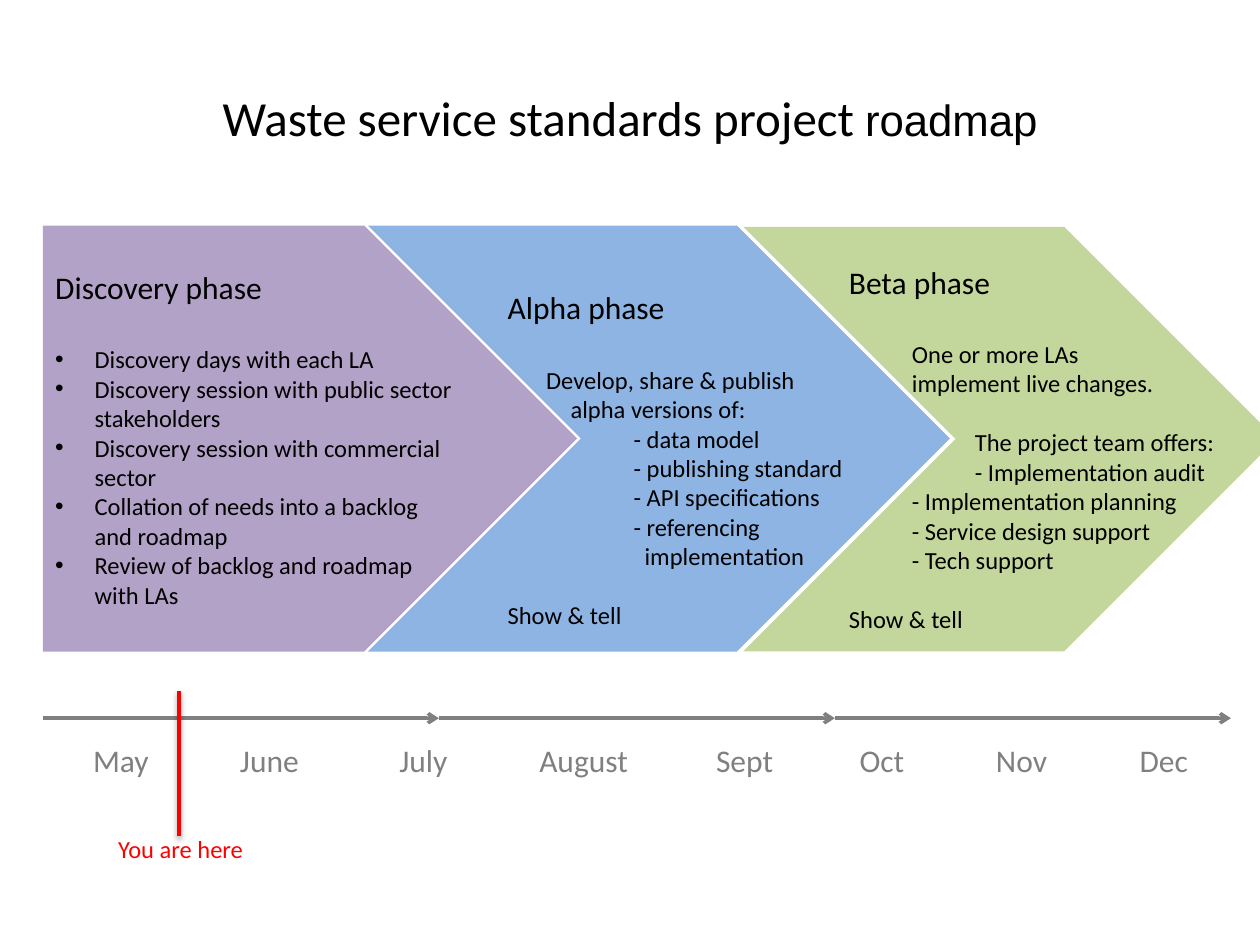
from dataclasses import dataclass

from lxml import etree
from pptx import Presentation
from pptx import util as u
from pptx.dml import color
from pptx.enum import shapes, text
from pptx.oxml import ns

COLOURS = {
    "discovery": "B3A2C7",
    "alpha": "8EB4E3",
    "beta": "C3D69B",
    "text": "000000",
    "timeline": "808080",
    "marker": "FF0000",
}
FONT = "Calibri"
HANG = 22.5
TIMELINE_LEFT, TIMELINE_RIGHT, TIMELINE_Y = 24.5, 703.4, 410.4
MONTHS = ["May", "June", "July", "August", "Sept", "Oct", "Nov", "Dec"]
MONTH_STOPS = [84, 175, 255, 356, 438, 516, 598]


@dataclass
class Box:
    left: float
    top: float
    width: float
    height: float

    def lengths(self) -> list:
        return [u.Pt(v) for v in (self.left, self.top, self.width, self.height)]


@dataclass
class Line:
    wording: str
    indent: float = 0
    before: float = 0
    bullet: bool = False
    size: float = 14


@dataclass
class Phase:
    name: str
    preset: shapes.MSO_SHAPE
    arrow: Box
    lines: list[Line]
    label: Box | None = None


PHASES = [
    Phase("discovery", shapes.MSO_SHAPE.PENTAGON, Box(24.5, 128.9, 305.3, 243.4), [
        Line("Discovery phase", size=18),
        Line("Discovery days with each LA", HANG, 22, True),
        Line("Discovery session with public sector stakeholders", HANG, 0, True),
        Line("Discovery session with commercial sector", HANG, 0, True),
        Line("Collation of needs into a backlog and roadmap", HANG, 0, True),
        Line("Review of backlog and roadmap with LAs", HANG, 0, True),
    ]),
    Phase("alpha", shapes.MSO_SHAPE.CHEVRON, Box(210.2, 128.9, 332.6, 243.4), [
        Line("Alpha phase", size=18),
        Line("Develop, share & publish", 22, 22),
        Line("alpha versions of:", 36),
        Line("- data model", 72),
        Line("- publishing standard", 72),
        Line("- API specifications", 72),
        Line("- referencing", 72),
        Line("implementation", 78.3),
        Line("Show & tell", 0, 17),
    ], Box(283, 161.3, 208, 247)),
    Phase("beta", shapes.MSO_SHAPE.CHEVRON, Box(424.8, 129.6, 304.6, 242.6), [
        Line("Beta phase", size=18),
        Line("One or more LAs", 36, 22),
        Line("implement live changes.", 36),
        Line("The project team offers:", 72, 17),
        Line("- Implementation audit", 72),
        Line("- Implementation planning", 36),
        Line("- Service design support", 36),
        Line("- Tech support", 36),
        Line("Show & tell", 0, 17),
    ], Box(478, 146.5, 226, 264)),
]


def rgb(name: str) -> color.RGBColor:
    """Return a named colour."""
    return color.RGBColor.from_string(COLOURS[name])


def style(font, size: float, colour: str = "text", face: str = FONT) -> None:
    """Apply face, size and colour to a font."""
    font.name, font.size = face, u.Pt(size)
    font.color.rgb = rgb(colour)


def add_label(slide, box: Box):
    """Add an empty wrapping text box and return its frame."""
    frame = slide.shapes.add_textbox(*box.lengths()).text_frame
    frame.word_wrap = True
    return frame


def write_lines(frame, lines: list[Line]) -> None:
    """Write indented or bulleted lines into a frame."""
    frame.text = "\n".join(line.wording for line in lines)
    for paragraph, line in zip(frame.paragraphs, lines):
        paragraph.alignment = text.PP_ALIGN.LEFT
        if line.before:
            paragraph.space_before = u.Pt(line.before)
        properties = paragraph._p.get_or_add_pPr()
        properties.set("marL", str(u.Pt(line.indent)))
        properties.set("indent", str(-u.Pt(line.indent) if line.bullet else 0))
        if line.bullet:
            etree.SubElement(properties, ns.qn("a:buFont"), typeface="Arial")
            etree.SubElement(properties, ns.qn("a:buChar"), char="•")
        for run in paragraph.runs:
            style(run.font, line.size)


def add_phase(slide, phase: Phase) -> None:
    """Draw a phase arrow with its text."""
    arrow = slide.shapes.add_shape(phase.preset, *phase.arrow.lengths())
    arrow.shadow.inherit = False
    arrow.fill.solid()
    arrow.fill.fore_color.rgb = rgb(phase.name)
    arrow.line.fill.background()
    if phase.label:
        write_lines(add_label(slide, phase.label), phase.lines)
    else:
        arrow.text_frame.vertical_anchor = text.MSO_ANCHOR.MIDDLE
        write_lines(arrow.text_frame, phase.lines)


def add_line(slide, start: tuple, end: tuple, colour: str):
    """Draw a straight line and return it with its empty effect list."""
    line = slide.shapes.add_connector(
        shapes.MSO_CONNECTOR.STRAIGHT, *(u.Pt(v) for v in start + end))
    line.line.color.rgb = rgb(colour)
    line.line.width = u.Pt(2)
    effects = etree.SubElement(line._element.spPr, ns.qn("a:effectLst"))
    return line, effects


def add_timeline(slide) -> None:
    """Draw the three arrows and the month names."""
    step = (TIMELINE_RIGHT - TIMELINE_LEFT) / 3
    for i in range(3):
        start = TIMELINE_LEFT + i * step
        arrow, _ = add_line(slide, (start, TIMELINE_Y), (start + step, TIMELINE_Y), "timeline")
        etree.SubElement(arrow.line._get_or_add_ln(), ns.qn("a:tailEnd"), type="arrow")
    months = add_label(slide, Box(46.1, 419.8, 657.3, 29)).paragraphs[0]
    months.text = "\t".join(MONTHS)
    stops = etree.SubElement(months._p.get_or_add_pPr(), ns.qn("a:tabLst"))
    for stop in MONTH_STOPS:
        etree.SubElement(stops, ns.qn("a:tab"), pos=str(u.Pt(stop)), algn="l")
    for run in months.runs:
        style(run.font, 18, "timeline")


def add_marker(slide) -> None:
    """Draw the shadowed marker line and its caption."""
    _, effects = add_line(slide, (102.3, 478), (102.3, 394.6), "marker")
    shadow = etree.SubElement(
        effects, ns.qn("a:outerShdw"), blurRad=str(u.Pt(3.1)), dist=str(u.Pt(1.6)),
        dir="5400000", rotWithShape="0")
    black = etree.SubElement(shadow, ns.qn("a:srgbClr"), val=COLOURS["text"])
    etree.SubElement(black, ns.qn("a:alpha"), val="38000")
    caption = add_label(slide, Box(60.5, 473, 141.8, 24.5))
    caption.text = "You are here"
    style(caption.paragraphs[0].runs[0].font, 14, "marker")


def add_title(slide) -> None:
    """Write the centred title."""
    title = add_label(slide, Box(36, 21.6, 648, 90))
    title.vertical_anchor = text.MSO_ANCHOR.MIDDLE
    heading = title.paragraphs[0]
    heading.alignment = text.PP_ALIGN.CENTER
    for wording, size, face in (
            ("Waste service standards project ", 28, FONT), ("roadmap", 25, "Arial")):
        run = heading.add_run()
        run.text = wording
        style(run.font, size, face=face)


def main() -> None:
    """Build and save the roadmap slide."""
    deck = Presentation()
    deck.slide_width, deck.slide_height = u.Pt(720), u.Pt(540)
    slide = deck.slides.add_slide(deck.slide_layouts[6])
    add_title(slide)
    for phase in PHASES:
        add_phase(slide, phase)
    add_timeline(slide)
    add_marker(slide)
    deck.save("out.pptx")


if __name__ == "__main__":
    main()
